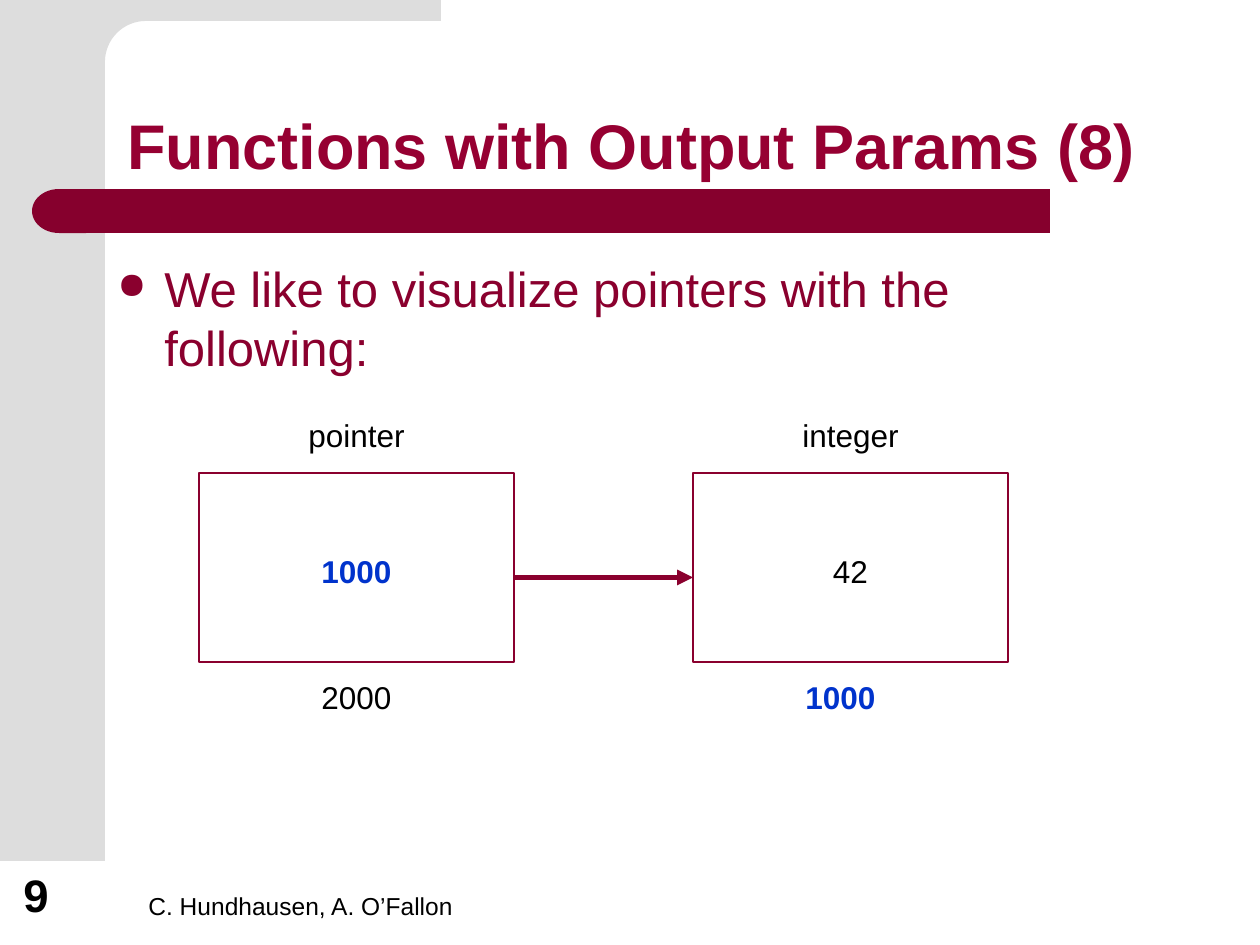
from math import cos, pi, sin

from lxml.etree import SubElement
from pptx import Presentation
from pptx.dml.color import RGBColor
from pptx.enum.shapes import MSO_CONNECTOR, MSO_SHAPE
from pptx.enum.text import MSO_ANCHOR, PP_ALIGN
from pptx.oxml.ns import qn
from pptx.util import Emu, Pt

PX = 914400 / 126
GREY = RGBColor(0xDD, 0xDD, 0xDD)
MAROON = RGBColor(0x86, 0x00, 0x2D)
CRIMSON = RGBColor(0x8A, 0x00, 0x2E)
TITLE_RED = RGBColor(0x96, 0x00, 0x32)
BLUE = RGBColor(0x00, 0x33, 0xCC)
BLACK = RGBColor(0x00, 0x00, 0x00)


def px(value):
    return Emu(round(value * PX))


def add_text(slide, text, left, top, width, height, size=18, color=BLACK, bold=False,
             align=PP_ALIGN.LEFT, anchor=MSO_ANCHOR.TOP, line_spacing=None, bullet=None):
    shape = slide.shapes.add_textbox(px(left), px(top), px(width), px(height))
    frame = shape.text_frame
    frame.word_wrap = True
    frame.vertical_anchor = anchor
    paragraph = frame.paragraphs[0]
    paragraph.alignment = align
    if line_spacing:
        paragraph.line_spacing = line_spacing
    if bullet:
        add_bullet(paragraph, bullet, color, indent=47)
    run = paragraph.add_run()
    run.text = text
    run.font.name = "Arial"
    run.font.size = Pt(size)
    run.font.bold = bold
    run.font.color.rgb = color


def add_bullet(paragraph, character, color, indent):
    properties = paragraph._p.get_or_add_pPr()
    properties.set("marL", str(px(indent)))
    properties.set("indent", str(-px(indent)))
    bullet_color = SubElement(properties, qn("a:buClr"))
    SubElement(bullet_color, qn("a:srgbClr"), val=str(color))
    SubElement(properties, qn("a:buSzPct"), val="75000")
    SubElement(properties, qn("a:buChar"), char=character)


def fill_plain(shape, color):
    shape.shadow.inherit = False
    shape.fill.solid()
    shape.fill.fore_color.rgb = color
    shape.line.fill.background()


def add_block(slide, kind, left, top, width, height, color):
    shape = slide.shapes.add_shape(kind, px(left), px(top), px(width), px(height))
    fill_plain(shape, color)
    return shape


def add_frame(slide, width, height):
    side, edge, radius = 105, 21, 41
    add_block(slide, MSO_SHAPE.RECTANGLE, 0, 0, side, height, GREY)
    steps = 16
    angles = [pi / 2 * step / steps for step in range(steps + 1)]
    corner = [(side + radius * (1 - sin(angle)), edge + radius * (1 - cos(angle)))
              for angle in angles]
    outline = [(width, edge), *corner, (side, 77), (63, 77), (63, 0)]
    builder = slide.shapes.build_freeform(px(width), 0, scale=1.0)
    builder.add_line_segments([(px(x), px(y)) for x, y in outline], close=True)
    fill_plain(builder.convert_to_shape(), GREY)


def add_title(slide, left, top, width, height):
    add_text(slide, "Functions with Output Params (8)", left, top, width, height,
             size=36, color=TITLE_RED, bold=True, anchor=MSO_ANCHOR.BOTTOM, line_spacing=0.9)


def add_title_bar(slide, left, top, width, height):
    cap = 53
    add_block(slide, MSO_SHAPE.RECTANGLE, left + cap, top, width - cap, height, MAROON)
    end = add_block(slide, MSO_SHAPE.FLOWCHART_DELAY, left, top, cap + 1, height, MAROON)
    end.rotation = 180


def add_variable(slide, left, top, width, height, name, value, address,
                 value_format, address_format, address_shift=0):
    box = add_block(slide, MSO_SHAPE.RECTANGLE, left, top, width, height, CRIMSON)
    box.fill.background()
    box.line.color.rgb = CRIMSON
    box.line.width = Pt(0.75)
    label_width = 189
    label_left = left + (width - label_width) / 2
    labels = [(name, 0, -63, {}), (value, 0, 73, value_format),
              (address, address_shift, height + 10, address_format)]
    for text, shift, offset, text_format in labels:
        add_text(slide, text, label_left + shift, top + offset, label_width, 50,
                 align=PP_ALIGN.CENTER, **text_format)


def add_arrow(slide, start, end, y):
    arrow = slide.shapes.add_connector(MSO_CONNECTOR.STRAIGHT, px(start), px(y), px(end), px(y))
    arrow.line.color.rgb = CRIMSON
    arrow.line.width = Pt(3)
    SubElement(arrow.line._get_or_add_ln(), qn("a:tailEnd"), type="triangle")
    SubElement(arrow._element.spPr, qn("a:effectLst"))


def add_pointer_diagram(slide, left, top, width, height):
    box_width = 315
    right = left + width - box_width
    highlight = {"color": BLUE, "bold": True}
    add_variable(slide, left, top, box_width, height, "pointer", "1000", "2000",
                 highlight, {})
    add_variable(slide, right, top, box_width, height, "integer", "42", "1000",
                 {}, highlight, address_shift=-10)
    add_arrow(slide, left + box_width, right, top + height / 2 + 10)


def add_footer(slide, left, top, width, height):
    add_text(slide, "C. Hundhausen, A. O’Fallon", left + 125, top, width - 125, height - 1,
             size=14, anchor=MSO_ANCHOR.BOTTOM)
    add_text(slide, "9", left, top, 81, height, size=26, bold=True, anchor=MSO_ANCHOR.BOTTOM)


def main():
    presentation = Presentation()
    presentation.slide_width = px(1260)
    presentation.slide_height = px(945)
    slide = presentation.slides.add_slide(presentation.slide_layouts[6])
    add_frame(slide, 441, 861)
    add_title_bar(slide, 32, 189, 1018, 44)
    add_footer(slide, 11, 861, 598, 67)
    add_title(slide, 115, 52, 1072, 137)
    add_text(slide, "We like to visualize pointers with the following:", 105, 252, 1060, 513,
             size=28, color=CRIMSON, bullet="●")
    add_pointer_diagram(slide, 199, 473, 809, 189)
    presentation.save("out.pptx")


if __name__ == "__main__":
    main()
